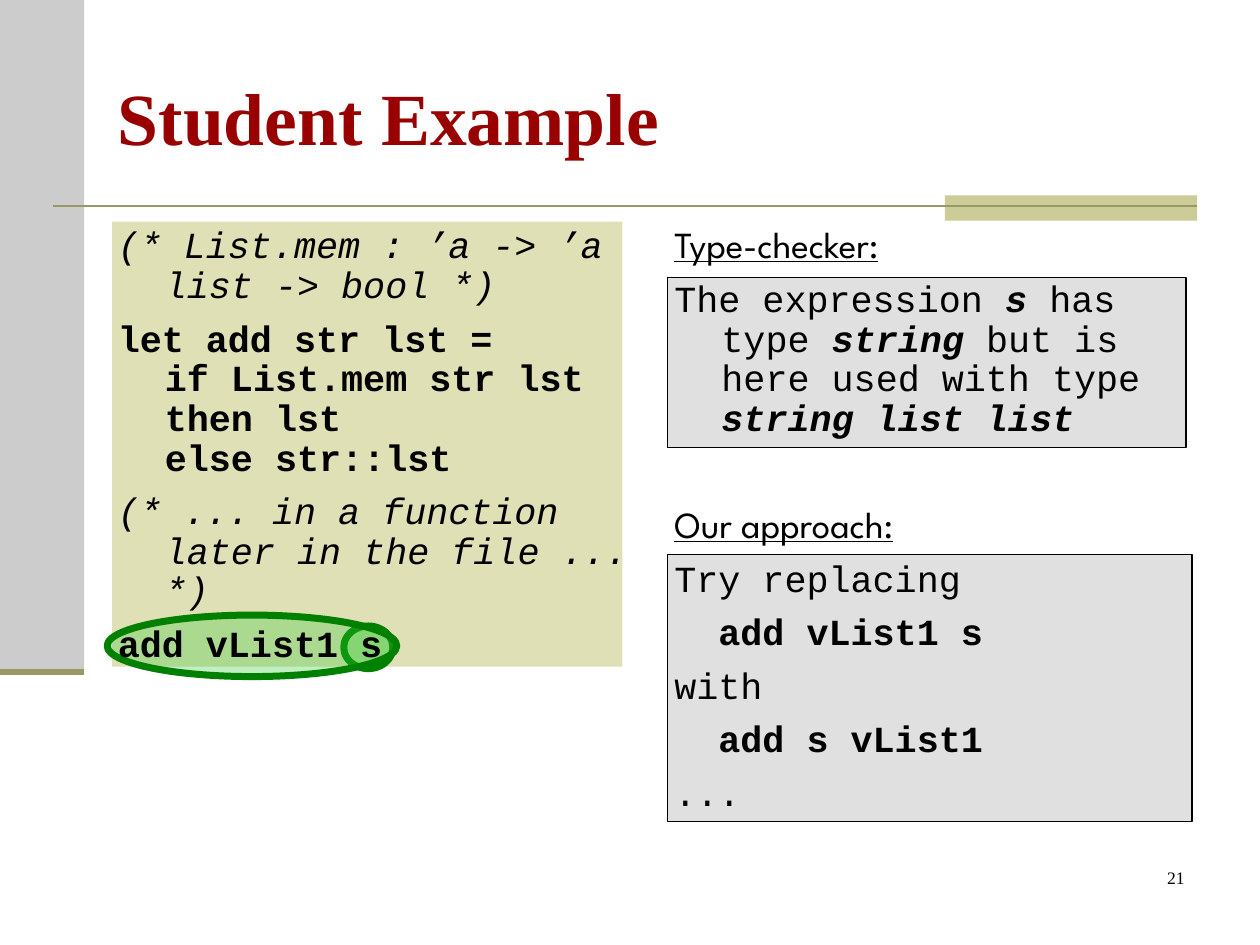
from dataclasses import dataclass

from lxml.etree import SubElement
from pptx import Presentation
from pptx.dml.color import RGBColor
from pptx.enum.shapes import MSO_CONNECTOR as Connector, MSO_SHAPE as Shape
from pptx.enum.text import MSO_ANCHOR as Anchor, MSO_AUTO_SIZE as AutoSize, PP_ALIGN as Align
from pptx.oxml.ns import qn
from pptx.util import Cm, Pt


@dataclass(frozen=True)
class Theme:
    """Colours, fonts and type sizes of the slide."""
    black: str = "000000"
    title: str = "990000"
    sidebar: str = "CCCCCC"
    accent: str = "CCCC99"
    rule: str = "999966"
    code_panel: str = "E0E0B7"
    message_panel: str = "E0E0E0"
    mark_fill: str = "33CC33"
    mark_line: str = "008000"
    serif: str = "Times New Roman"
    heading: str = "League Spartan"
    code: str = "Courier New"
    title_size: float = 42
    body_size: float = 21
    number_size: float = 10
    paragraph_gap: float = 7.9
    section_gap: float = 38.6


def add_text(paragraph, text, *, font, size, color, bold=False, italic=False, underline=False):
    """Add text to a paragraph, with a line break at each newline."""
    for index, line in enumerate(text.split("\n")):
        if index:
            paragraph.add_line_break()
        run = paragraph.add_run()
        run.text = line
        run.font.name, run.font.size = font, Pt(size)
        run.font.bold, run.font.italic, run.font.underline = bold, italic, underline
        run.font.color.rgb = RGBColor.from_string(color)


class SlideBuilder:
    """Draws each kind of element on the current slide in one style."""

    def __init__(self, slide, theme):
        """Keep the slide and its theme."""
        self.slide, self.theme = slide, theme

    def shape(self, kind, box, fill, line=None, width=0.75, alpha=None):
        """Draw a filled shape, with an outline and transparency on demand."""
        shape = self.slide.shapes.add_shape(kind, *map(Cm, box))
        shape.shadow.inherit = False
        shape.fill.solid()
        shape.fill.fore_color.rgb = RGBColor.from_string(fill)
        if alpha is not None:
            color = shape.element.spPr.find(qn("a:solidFill"))[0]
            SubElement(color, qn("a:alpha")).set("val", str(alpha * 1000))
        if line:
            shape.line.color.rgb = RGBColor.from_string(line)
            shape.line.width = Pt(width)
        else:
            shape.line.fill.background()

    def rule(self, left, right, top, width):
        """Draw a horizontal line."""
        line = self.slide.shapes.add_connector(
            Connector.STRAIGHT, Cm(left), Cm(top), Cm(right), Cm(top))
        line.line.color.rgb = RGBColor.from_string(self.theme.rule)
        line.line.width = Pt(width)
        SubElement(line.element.spPr, qn("a:effectLst"))

    def place(self, shape, box, anchor):
        """Move a text shape to the front and set up its frame."""
        shape.left, shape.top, shape.width, shape.height = map(Cm, box)
        shape.element.getparent().append(shape.element)
        frame = shape.text_frame
        frame.word_wrap, frame.auto_size = True, AutoSize.NONE
        frame.vertical_anchor = anchor
        return frame

    def title(self, text, box):
        """Fill the title placeholder."""
        theme = self.theme
        paragraph = self.place(self.slide.shapes.title, box, Anchor.MIDDLE).paragraphs[0]
        paragraph.alignment = Align.LEFT
        add_text(paragraph, text, font=theme.serif, size=theme.title_size,
                 color=theme.title, bold=True)

    def body(self, index, box, paragraphs):
        """Fill a body placeholder with hanging paragraphs of formatted runs."""
        theme = self.theme
        frame = self.place(self.slide.placeholders[index], box, Anchor.TOP)
        for position, (gap, runs) in enumerate(paragraphs):
            paragraph = frame.add_paragraph() if position else frame.paragraphs[0]
            properties = paragraph._p.get_or_add_pPr()
            properties.set("marL", str(Cm(0.95)))
            properties.set("indent", str(Cm(-0.95)))
            SubElement(properties, qn("a:buNone"))
            paragraph.line_spacing = 0.9
            paragraph.space_before = Pt(gap if position else 0)
            for text, style in runs:
                add_text(paragraph, text, **{"font": theme.code, "size": theme.body_size,
                                             "color": theme.black, **style})

    def number(self, text, box):
        """Write the slide number."""
        theme = self.theme
        text_box = self.slide.shapes.add_textbox(*map(Cm, box))
        paragraph = self.place(text_box, box, Anchor.TOP).paragraphs[0]
        paragraph.alignment = Align.RIGHT
        add_text(paragraph, text, font=theme.serif, size=theme.number_size, color=theme.black)


def main():
    """Build the slide and save it."""
    presentation = Presentation()
    presentation.slide_width, presentation.slide_height = Cm(25.4), Cm(19.05)
    theme = Theme()
    builder = SlideBuilder(presentation.slides.add_slide(presentation.slide_layouts[3]), theme)

    builder.shape(Shape.RECTANGLE, (0, 0, 1.7, 13.54), theme.sidebar)
    builder.shape(Shape.RECTANGLE, (19.05, 3.94, 5.08, 0.51), theme.accent)
    builder.rule(1.07, 24.13, 4.15, 1.5)
    builder.rule(0, 1.7, 13.54, 3.5)
    builder.shape(Shape.RECTANGLE, (2.26, 4.47, 10.29, 8.97), theme.code_panel)
    for box in ((13.46, 5.59, 10.45, 3.43), (13.46, 11.18, 10.57, 5.38)):
        builder.shape(Shape.RECTANGLE, box, theme.message_panel, theme.black)

    builder.title("Student Example", (2.12, 0.76, 22.01, 3.18))
    for box in ((6.93, 12.62, 0.99, 0.86), (2.16, 12.4, 5.84, 1.24)):
        builder.shape(Shape.OVAL, box, theme.mark_fill, theme.mark_line, width=4, alpha=30)

    plain, bold, italic = {}, {"bold": True}, {"italic": True}
    strong = {**bold, **italic}
    heading = {"font": theme.heading, "underline": True}
    gap = theme.paragraph_gap
    builder.body(2, (13.34, 4.45, 10.8, 12.57), [
        (gap, [("Type-checker:", heading)]),
        (gap, [("The expression ", plain), ("s", strong), (" has type ", plain),
               ("string", strong), (" but is here used with type ", plain),
               ("string list list", strong)]),
        (theme.section_gap, [("Our approach:", heading)]),
        (gap, [("Try replacing", plain)]),
        (gap, [("  add vList1 s", bold)]),
        (gap, [("with", plain)]),
        (gap, [("  add s vList1", bold)]),
        (gap, [("...", plain)]),
    ])
    builder.body(1, (2.12, 4.45, 10.8, 12.57), [
        (gap, [("(* List.mem : ’a -> ’a list -> bool *)", italic)]),
        (gap, [("let add str lst =\nif List.mem str lst\nthen lst\nelse str::lst", bold)]),
        (gap, [("(* ... in a function later in the file ... *)", italic)]),
        (gap, [("add vList1 s", bold)]),
    ])
    builder.number("21", (18.85, 17.35, 5.28, 1.27))
    presentation.save("out.pptx")


if __name__ == "__main__":
    main()
